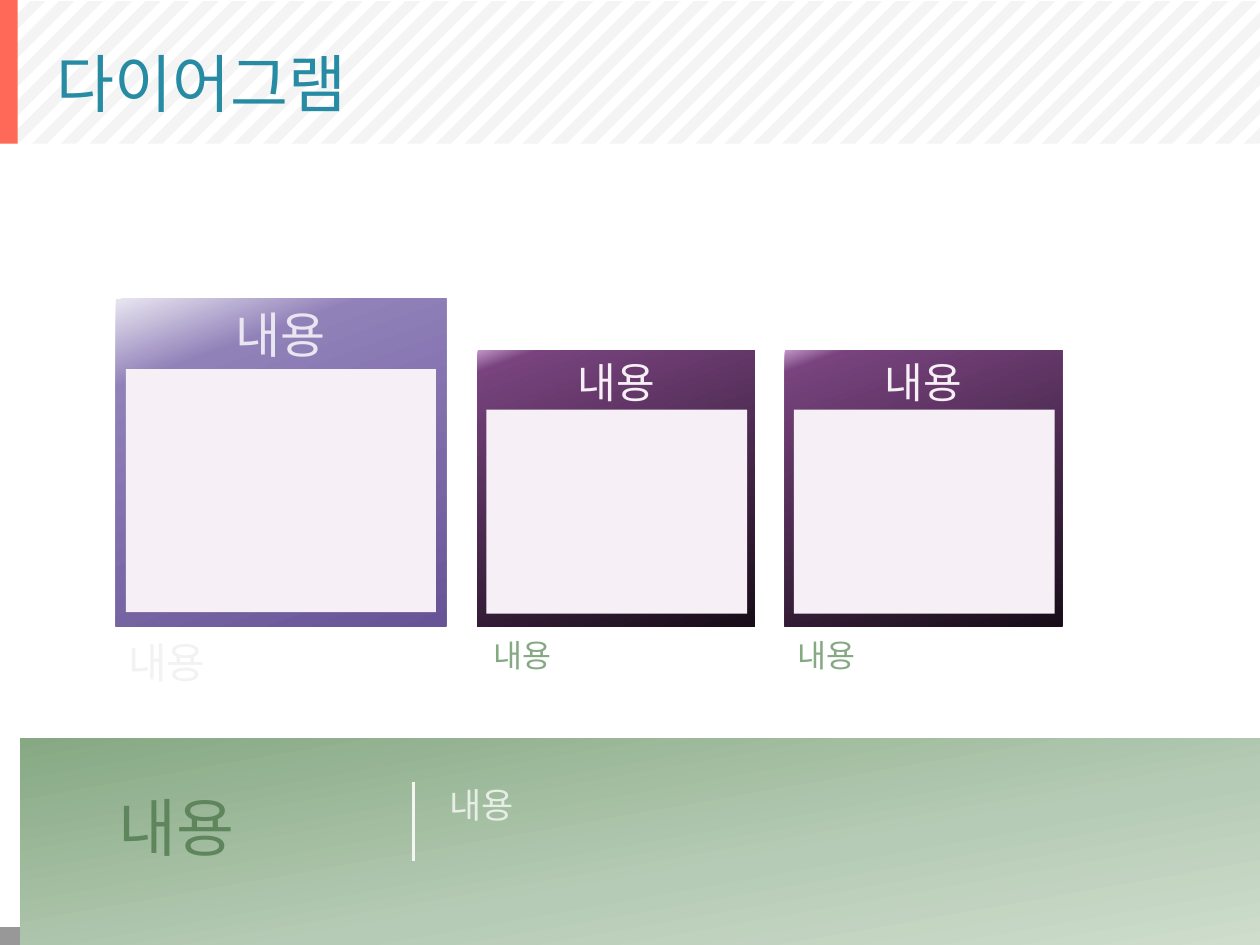
from copy import deepcopy

from lxml import etree
from pptx import Presentation
from pptx.dml.color import RGBColor
from pptx.enum.shapes import MSO_CONNECTOR, MSO_SHAPE
from pptx.enum.text import MSO_ANCHOR, MSO_AUTO_SIZE, PP_ALIGN
from pptx.oxml.ns import qn
from pptx.util import Inches, Pt

RECTANGLE = MSO_SHAPE.RECTANGLE
STRAIGHT = MSO_CONNECTOR.STRAIGHT
TOP, MIDDLE = MSO_ANCHOR.TOP, MSO_ANCHOR.MIDDLE
LEFT, CENTER = PP_ALIGN.LEFT, PP_ALIGN.CENTER
NO_FIT, GROW = MSO_AUTO_SIZE.NONE, MSO_AUTO_SIZE.SHAPE_TO_FIT_TEXT

COLORS = {
    "stripe": "EBEBEB", "accent": "FF6957", "title": "268BA3",
    "panel": "F6EFF6", "lavender": "E9E6F1", "faint": "F2F2F2",
    "green": "86A983", "dark green": "5F855C", "pale green": "E7EEE6",
    "divider": "F3F6F3",
}
GRADIENTS = {
    "footer": (0, [(0, "989898"), (0.5, "CCCCCC"), (1, "989898")]),
    "violet": (70, [(0, "E9E6F1"), (0.2, "9181B9"), (1, "675497")]),
    "plum": (70, [(0, "C195C7"), (0.06, "78437E"), (1, "180D19")]),
    "band": (260, [(0, "CFDDCD"), (0.4, "B6CBB5"), (1, "86A983")]),
}


def add_rectangle(left, top, width, height, fill):
    """Add a borderless rectangle; fill names a colour or a gradient."""
    box = page.shapes.add_shape(
        RECTANGLE, Inches(left), Inches(top), Inches(width), Inches(height))
    box.shadow.inherit = False
    box.line.fill.background()
    if fill in COLORS:
        box.fill.solid()
        box.fill.fore_color.rgb = RGBColor.from_string(COLORS[fill])
        return box
    angle, stops = GRADIENTS[fill]
    box.fill.gradient()
    box.fill.gradient_angle = (360 - angle) % 360
    first_stop = box._element.spPr.xpath(".//a:gs")[0]
    first_stop.addnext(deepcopy(first_stop))
    for stop, (position, color) in zip(box.fill.gradient_stops, stops):
        stop.position = position
        stop.color.rgb = RGBColor.from_string(color)
    return box


def write_text(box, text, size, color, align=LEFT, anchor=TOP, fit=GROW, inset=None):
    frame = box.text_frame
    frame.word_wrap = True
    frame.auto_size = fit
    frame.vertical_anchor = anchor
    if inset is not None:
        frame.margin_left = frame.margin_right = Inches(inset)
        frame.margin_top = frame.margin_bottom = Inches(inset)
    para = frame.paragraphs[0]
    para.alignment = align
    span = para.add_run()
    span.text = text
    span.font.name = "Arial"
    span.font.size = Pt(size)
    span.font.color.rgb = RGBColor.from_string(COLORS[color])
    return para


deck = Presentation()
deck.slide_width, deck.slide_height = Inches(10), Inches(7.5)
page = deck.slides.add_slide(deck.slide_layouts[5])

# Header: 45-degree stripes, clipped to the header area
HEADER_TOP, HEADER_BOTTOM, HEADER_RIGHT = 0.01, 1.14, 10
STRIPE_COUNT, STRIPE_STEP, STRIPE_WIDTH = 49, 0.229, 0.12
for index in range(STRIPE_COUNT):
    right_sum = 0.14 + index * STRIPE_STEP  # x + y along the right edge
    left_sum = right_sum - STRIPE_WIDTH
    corners = []
    for edge_sum, from_top in ((left_sum, True), (right_sum, False)):
        upper_x = min(edge_sum - HEADER_TOP, HEADER_RIGHT)
        lower_x = max(edge_sum - HEADER_BOTTOM, 0)
        for x in (upper_x, lower_x) if from_top else (lower_x, upper_x):
            corners.append((Inches(x), Inches(edge_sum - x)))
    outline = page.shapes.build_freeform(*corners[0])
    outline.add_line_segments(corners[1:], close=True)
    stripe = outline.convert_to_shape()
    stripe.shadow.inherit = False
    stripe.line.fill.background()
    stripe.fill.solid()
    stripe.fill.fore_color.rgb = RGBColor.from_string(COLORS["stripe"])
    color_element = stripe._element.spPr.find(".//" + qn("a:srgbClr"))
    etree.SubElement(color_element, qn("a:alpha"), val="52000")

add_rectangle(0, 7.36, 10.02, 0.14, "footer")
add_rectangle(0, 0, 0.14, 1.14, "accent")

title = page.shapes.title
title.left, title.top = Inches(0.35), Inches(0.14)
title.width, title.height = Inches(9.27), Inches(1.03)
page.shapes._spTree.append(title._element)  # in front of the stripes
write_text(title, "다이어그램", 36, "title", anchor=MIDDLE, fit=NO_FIT)

# Cards: frame with a heading, and a panel inside
cards = [
    ((0.92, 2.37, 2.62, 2.6), (1, 2.93, 2.46, 1.93), "violet", 28, "lavender"),
    ((3.79, 2.78, 2.2, 2.19), (3.86, 3.25, 2.07, 1.62), "plum", 24, "panel"),
    ((6.23, 2.78, 2.2, 2.19), (6.3, 3.25, 2.07, 1.62), "plum", 24, "panel"),
]
for frame_area, panel_area, fill, size, color in cards:
    card = add_rectangle(*frame_area, fill)
    write_text(card, "내용", size, color, align=CENTER, fit=NO_FIT)
    add_rectangle(*panel_area, "panel")

add_rectangle(0.16, 5.86, 9.84, 1.64, "band")

# Captions under the cards, then the heading and list in the band
labels = [
    ((0.92, 5, 2.62, 0.5), 24, "faint", {}),
    ((3.82, 5, 2.18, 0.4), 18, "green", {}),
    ((6.23, 5, 2.19, 0.4), 18, "green", {}),
    ((0.94, 6.26, 2.16, 0.6), 36, "dark green", {"anchor": MIDDLE, "inset": 0}),
    ((3.47, 6.17, 5.83, 0.77), 20, "pale green", {}),
]
for area, size, color, options in labels:
    label = page.shapes.add_textbox(*[Inches(length) for length in area])
    para = write_text(label, "내용", size, color, **options)
# The list in the band has a hanging indent
indent = Inches(0.19)
properties = para._p.get_or_add_pPr()
properties.set("marL", str(indent))
properties.set("indent", str(-indent))

divider = page.shapes.add_connector(
    STRAIGHT, Inches(3.28), Inches(6.21), Inches(3.28), Inches(6.83))
divider.line.color.rgb = RGBColor.from_string(COLORS["divider"])
divider.line.width = Pt(0)
etree.SubElement(divider._element.spPr, qn("a:effectLst"))

deck.save("out.pptx")
